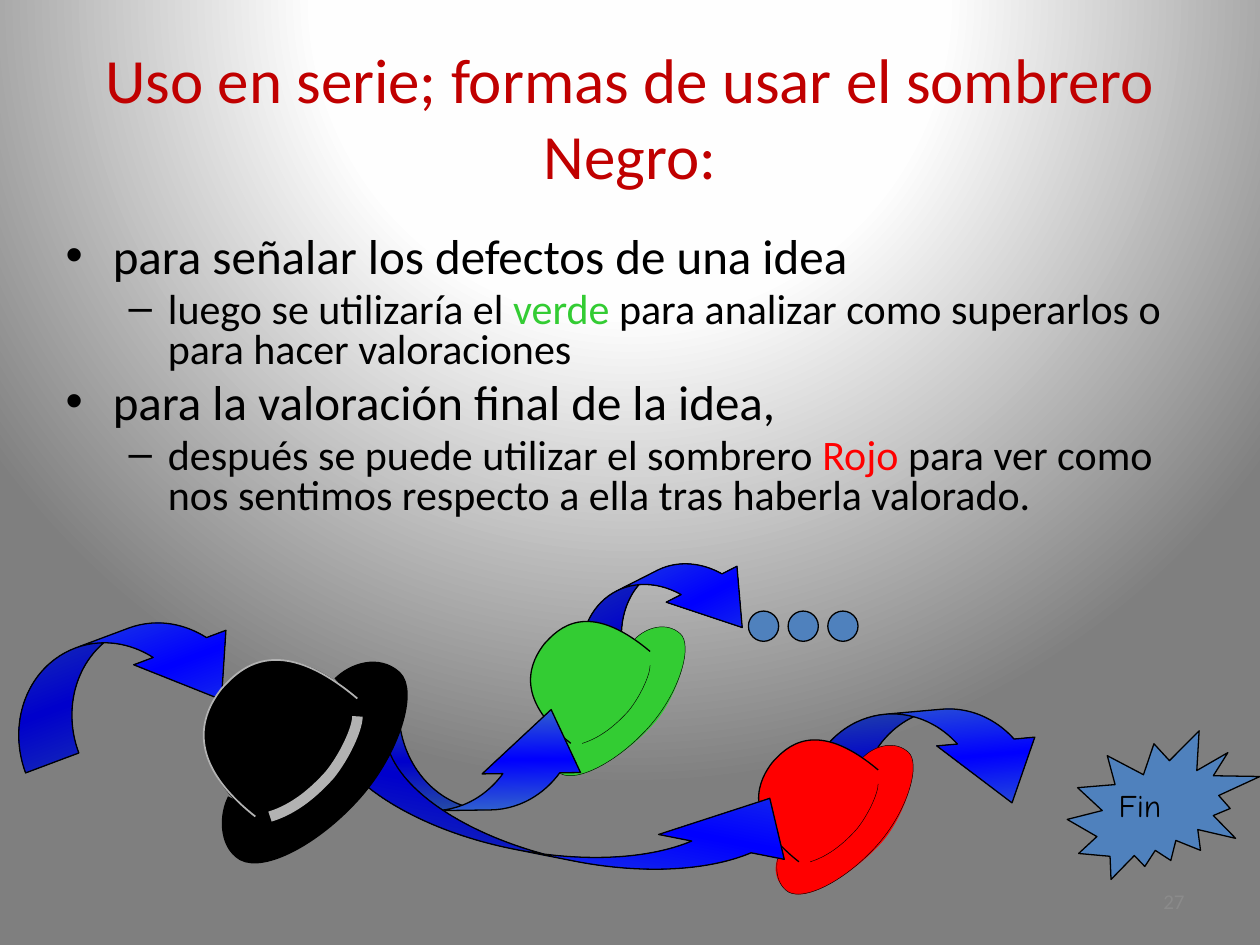
from math import cos, radians, sin

from lxml.etree import SubElement
from pptx import Presentation
from pptx.dml.color import RGBColor
from pptx.enum.shapes import MSO_SHAPE as Kind
from pptx.enum.text import MSO_ANCHOR as Anchor, MSO_AUTO_SIZE as Auto, PP_ALIGN as Align
from pptx.oxml import parse_xml
from pptx.oxml.ns import nsdecls, qn
from pptx.util import Inches, Pt

hue = RGBColor.from_string


def write(para, text, size=18, color="000000", font="Calibri"):
    run = para.add_run()
    run.text = text
    run.font.size, run.font.name = Pt(size), font
    run.font.color.rgb = hue(color)


def paint(shape, fill, line=None, width=0.75):
    shape.shadow.inherit = False
    shape.fill.solid()
    shape.fill.fore_color.rgb = hue(fill)
    if line:
        shape.line.color.rgb = hue(line)
        shape.line.width = Pt(width)
    else:
        shape.line.fill.background()


deck = Presentation()
deck.slide_width, deck.slide_height = Inches(10), Inches(7.5)
slide = deck.slides.add_slide(deck.slide_layouts[1])
shapes = slide.shapes

# Title and list
title, body = shapes.title, slide.placeholders[1]
for holder, box in ((title, (0.5, 0.3, 9, 1.25)), (body, (0.42, 1.83, 9.08, 2.94))):
    holder.left, holder.top, holder.width, holder.height = map(Inches, box)
    holder.text_frame.auto_size = Auto.NONE
title.text_frame.vertical_anchor = Anchor.MIDDLE
head = title.text_frame.paragraphs[0]
head.alignment = Align.CENTER
write(head, "Uso en serie; formas de usar el sombrero Negro:", size=36, color="C00000")

points = [
    (0, [("para señalar los defectos de una idea", "000000")]),
    (1, [("luego se utilizaría el ", "000000"), ("verde", "33CC33"),
         (" para analizar como superarlos o para hacer valoraciones", "000000")]),
    (0, [("para la valoración final de la idea,", "000000")]),
    (1, [("después se puede utilizar el sombrero ", "000000"), ("Rojo", "FF0000"),
         (" para ver como nos sentimos respecto a ella tras haberla valorado.", "000000")]),
]
for n, (level, runs) in enumerate(points):
    para = body.text_frame.add_paragraph() if n else body.text_frame.paragraphs[0]
    size = 24 if level else 28
    para.level, para.line_spacing, para.space_before = level, 0.8, Pt(size * 0.2)
    for text, color in runs:
        write(para, text, size=size, color=color)

# Tilted hat outlines: a start, then Bézier triples, in 1/100 inch from the brim's corner
shell = [(0, 0), (-8, 13), (-8, 27), (6, 35), (20, 44), (61, 17), (81, -7),
         (100, -31), (110, -70), (99, -76), (88, -83), (75, -84), (64, -71),
         (45, -85), (17, -95), (-5, -69), (-28, -43), (-17, -19), (0, 0)]
brim = [(-1, 0), (-6, 9), (-7, 28), (5, 35), (18, 42), (50, 26), (75, -2),
        (100, -30), (110, -67), (100, -76), (89, -86), (73, -81), (64, -72)]
band = [(22, 11), (38, 6), (50, -5), (59, -15), (68, -26), (76, -43), (76, -51)]
crown = [(13, 11), (-34, -26), (-18, -55), (-8, -68), (3, -80), (26, -104), (76, -62)]

dark, pale = "000000", "B2B2B2"
thin = [(None, 0), (dark, 0.25), (dark, 0.25), (dark, 0.75)]
bold = [(dark, 1), (dark, 6), (pale, 6), (pale, 1)]
down, flat = (0.571, 0.989, 0.637), (0.608, 1.287, 0.573)
tilt = 309.4
c, s = cos(radians(tilt)), sin(radians(tilt))

# Back to front: arrows (box, turn, flip, adjustments) and hats (corner, scale, fill, lines)
parts = [
    ("arrow", (6.34, 5.64, 2.05, 0.79), 354.9, False, down),
    ("arrow", (4.45, 4.54, 1.65, 0.71), 333.1, False, (0.512, 0.887, 0.637)),
    ("hat", (4.4, 5.79), 1, "33CC33", thin),
    ("hat", (6.21, 6.73), 1, "FF0000", thin),
    ("arrow", (0, 5.01, 2.05, 0.79), 339.5, False, down),
    ("arrow", (2.72, 5.64, 2.05, 0.79), 179.2, True, down),
    ("arrow", (2.48, 6.03, 4.09, 0.79), 191.2, True, flat),
    ("hat", (1.86, 6.34), 1.285, dark, bold),
]
blends = []
for kind, place, size, look, style in parts:
    if kind == "arrow":
        arrow = shapes.add_shape(Kind.CURVED_DOWN_ARROW, *map(Inches, place))
        for n, value in enumerate(style):
            arrow.adjustments[n] = value
        arrow.rotation = size
        if look:
            arrow.element.spPr.xfrm.set("flipH", "1")
        paint(arrow, "0000FF", dark)
        blends.append((arrow.element.spPr, [(0, "3366CC"), (50, "0000FF"), (100, "3366CC")],
                       '<a:lin ang="5400000" scaled="1"/>'))
        continue
    for curve, (line, width) in zip((shell, brim, band, crown), style):
        # Lay the outline level in 1/1000 inch, then turn the shape about its middle
        level = [(10 * (x * c + y * s), 10 * (y * c - x * s)) for x, y in curve]
        pen = shapes.build_freeform(*level[0], scale=Inches(size) / 1000)
        pen.add_line_segments(level[1:], close=curve is shell)
        piece = pen.convert_to_shape()
        x, y = piece.left + piece.width / 2, piece.top + piece.height / 2
        piece.left = int(Inches(place[0]) + x * c - y * s - piece.width / 2)
        piece.top = int(Inches(place[1]) + x * s + y * c - piece.height / 2)
        piece.rotation = tilt
        paint(piece, look, line, width)
        # Group each three points into one Bézier segment
        lines = list(piece.element.iter(qn("a:lnTo")))
        for n in range(0, len(lines) - 2, 3):
            bend = SubElement(lines[n].getparent(), qn("a:cubicBezTo"))
            lines[n].addprevious(bend)
            for leg in lines[n:n + 3]:
                bend.append(leg[0])
                leg.getparent().remove(leg)

# Burst and dots
burst = shapes.add_shape(Kind.EXPLOSION2, *map(Inches, (8.47, 5.8, 1.53, 1.18)))
paint(burst, "4F81BD", dark)
for n in range(3):
    dot = shapes.add_shape(Kind.OVAL, *map(Inches, (5.94 + n * 0.315, 4.85, 0.24, 0.24)))
    paint(dot, "4F81BD", dark)

# Labels
for text, box, side, hold, look in (
    ("Fin", (8.78, 6.19, 0.87, 0.5), Align.LEFT, Anchor.TOP, dict(font="Comic Neue")),
    ("27", (7.17, 6.95, 2.33, 0.4), Align.RIGHT, Anchor.MIDDLE, dict(size=12, color="8B8B8B")),
):
    frame = shapes.add_textbox(*map(Inches, box)).text_frame
    frame.word_wrap, frame.vertical_anchor = True, hold
    frame.paragraphs[0].alignment = side
    write(frame.paragraphs[0], text, **look)

# Gradients
slide.background.fill.solid()
blends.append((slide.element.find(".//" + qn("p:bgPr")),
               [(0, "FFFFFF"), (40, "FEFEFE"), (100, "7F7F7F")],
               '<a:path path="circle"><a:fillToRect l="50000" t="-80000" r="50000" b="180000"/>'
               '</a:path>'))
for props, stops, course in blends:
    marks = "".join(f'<a:gs pos="{at * 1000}"><a:srgbClr val="{color}"/></a:gs>'
                    for at, color in stops)
    props.replace(props.find(qn("a:solidFill")), parse_xml(
        f'<a:gradFill {nsdecls("a")} rotWithShape="1"><a:gsLst>{marks}</a:gsLst>'
        f'{course}</a:gradFill>'))

deck.save("out.pptx")
